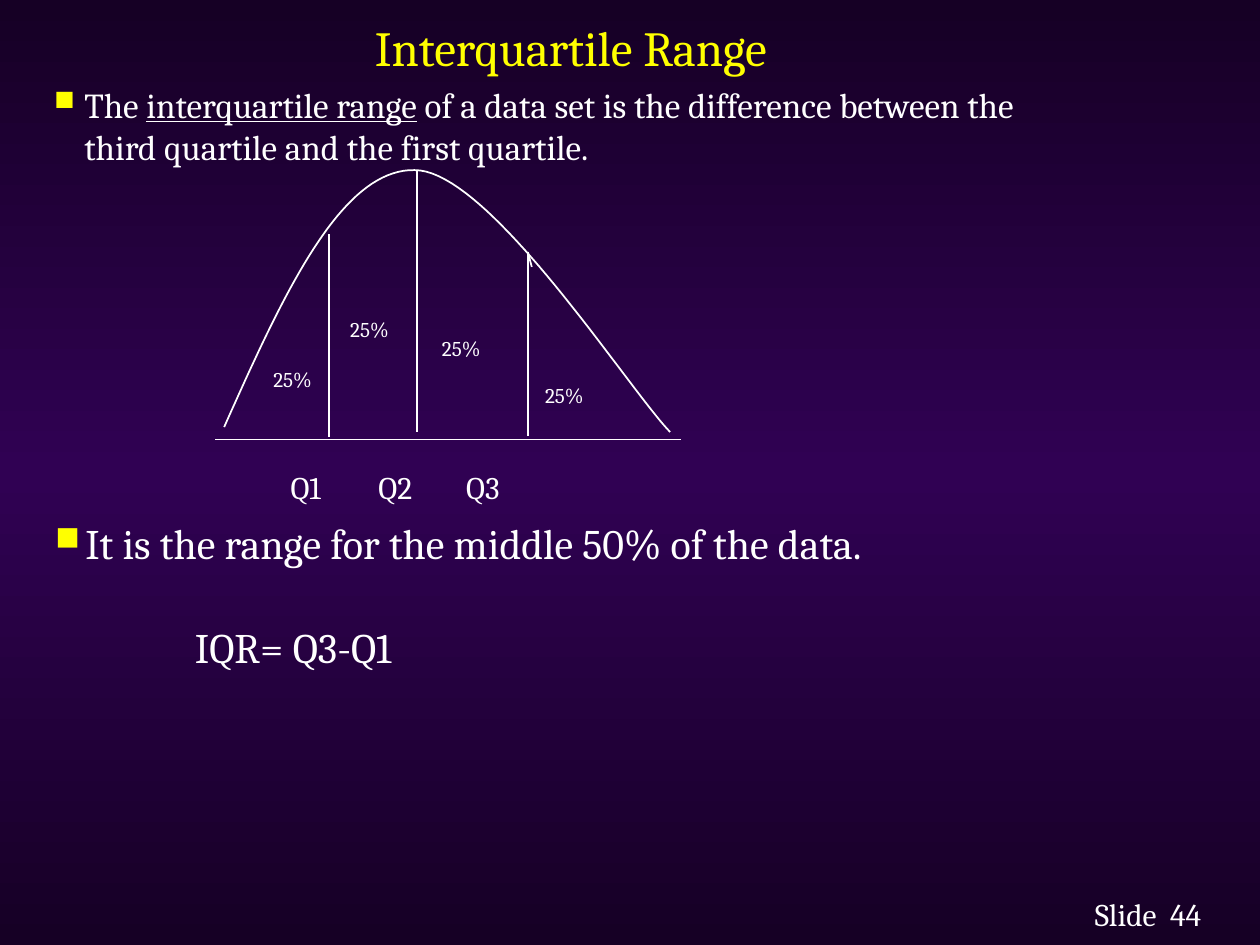
from copy import deepcopy

from lxml.etree import SubElement
from pptx import Presentation
from pptx.dml.color import RGBColor
from pptx.enum.shapes import MSO_CONNECTOR
from pptx.enum.text import MSO_ANCHOR, PP_ALIGN
from pptx.oxml.ns import qn
from pptx.util import Cm, Pt

WHITE = RGBColor(0xFF, 0xFF, 0xFF)
YELLOW = RGBColor(0xFF, 0xFF, 0x00)
EDGE_PURPLE = RGBColor(0x16, 0x00, 0x25)
MIDDLE_PURPLE = RGBColor(0x30, 0x01, 0x53)
FONT = "Cambria"

# All places are in centimetres.
TITLE = ("Interquartile Range", (0.71, 0, 21.59, 1.88), 28)
BULLETS = [
    (["The ", "interquartile range",
      " of a data set is the difference between the third quartile and the first quartile."],
     (0.84, 1.55, 20.29, 6.27), 20),
    (["It is the range for the middle 50% of the data."], (0.86, 10.31, 17.88, 1.27), 24),
]
UNDERLINED = "interquartile range"
LABELS = [
    ("IQR= Q3-Q1", (3.68, 12.4, 5.21, 1.27), 24),
    ("Slide", (21.82, 17.91, 2.31, 1.02), 18),
    ("44", (23.34, 17.91, 1.63, 1.02), 18),
]
QUARTILES = (["Q1", "Q2", "Q3"], (4.24, 9.32, 10.46, 1.02), 18)
FIRST_TAB, TAB_STEP = 1.37, 1.77

SHARE = "25%"
SHARE_SIZE = (1.4, 0.76)
SHARE_PLACES = [(5.26, 7.26), (6.81, 6.25), (8.66, 6.63), (10.74, 7.59)]

CURVE_START = (4.52, 8.61)
CURVE_PARTS = [
    [(5.69, 5.99), (6.86, 3.4), (8.36, 3.43)],
    [(9.86, 3.43), (12.65, 7.82), (13.51, 8.71)],
]
CURVE_STEPS = 40
LINES = [
    ((8.41, 3.45), (8.41, 8.71)),
    ((6.63, 4.72), (6.63, 8.81)),
    ((10.72, 5.38), (10.64, 5.08)),
    ((10.64, 5.11), (10.64, 8.79)),
    ((4.34, 8.86), (13.72, 8.86)),
]


def paint_background(page):
    fill = page.background.fill
    fill.gradient()
    stop_list = page._element.find(".//" + qn("a:gsLst"))
    stop_list.append(deepcopy(stop_list[-1]))
    colors = [EDGE_PURPLE, MIDDLE_PURPLE, EDGE_PURPLE]
    for stop, position, color in zip(fill.gradient_stops, (0, 0.5, 1), colors):
        stop.position = position
        stop.color.rgb = color
    fill.gradient_angle = 90


def add_text(page, spans, place, size, color=WHITE):
    """Add a one-paragraph text box and return its text frame."""
    box = page.shapes.add_textbox(*map(Cm, place))
    frame = box.text_frame
    frame.word_wrap = True
    for text in spans:
        span = frame.paragraphs[0].add_run()
        span.text = text
        formats = {"name": FONT, "size": Pt(size), "underline": text == UNDERLINED}
        for name, value in formats.items():
            setattr(span.font, name, value)
        span.font.color.rgb = color
    return frame


def add_bullet(para):
    properties = para._p.get_or_add_pPr()
    properties.set("marL", str(Cm(0.61)))
    properties.set("indent", str(-Cm(0.61)))
    color = SubElement(properties, qn("a:buClr"))
    SubElement(color, qn("a:srgbClr"), val=str(YELLOW))
    SubElement(properties, qn("a:buSzPct"), val="80000")
    SubElement(properties, qn("a:buChar"), char="■")


def add_tabs(para, count):
    tabs = SubElement(para._p.get_or_add_pPr(), qn("a:tabLst"))
    for index in range(count):
        position = Cm(FIRST_TAB + index * TAB_STEP)
        SubElement(tabs, qn("a:tab"), pos=str(position), algn="l")


def style_line(line):
    line.color.rgb = WHITE
    line.width = Pt(1)


def curve_points():
    """Yield points along the joined cubic curves."""
    start = CURVE_START
    for first, second, end in CURVE_PARTS:
        for step in range(1, CURVE_STEPS + 1):
            t = step / CURVE_STEPS
            u = 1 - t
            yield tuple(
                Cm(u**3 * a + 3 * u**2 * t * b + 3 * u * t**2 * c + t**3 * d)
                for a, b, c, d in zip(start, first, second, end)
            )
        start = end


def draw_distribution(page):
    builder = page.shapes.build_freeform(*map(Cm, CURVE_START))
    builder.add_line_segments(curve_points(), close=False)
    curve = builder.convert_to_shape()
    curve.shadow.inherit = False
    curve.fill.background()
    style_line(curve.line)
    for start, end in LINES:
        line = page.shapes.add_connector(MSO_CONNECTOR.STRAIGHT, *map(Cm, start + end))
        style_line(line.line)
        SubElement(line._element.spPr, qn("a:effectLst"))


def main():
    deck = Presentation()
    deck.slide_width, deck.slide_height = Cm(25.4), Cm(19.05)
    page = deck.slides.add_slide(deck.slide_layouts[6])
    paint_background(page)

    text, place, size = TITLE
    title = add_text(page, [text], place, size, YELLOW)
    title.vertical_anchor = MSO_ANCHOR.MIDDLE
    title.paragraphs[0].alignment = PP_ALIGN.CENTER

    draw_distribution(page)
    names, place, size = QUARTILES
    quartiles = add_text(page, ["\t" + name for name in names], place, size)
    add_tabs(quartiles.paragraphs[0], len(names))
    for corner in SHARE_PLACES:
        add_text(page, [SHARE], corner + SHARE_SIZE, 12)

    for spans, place, size in BULLETS:
        add_bullet(add_text(page, spans, place, size).paragraphs[0])
    for text, place, size in LABELS:
        add_text(page, [text], place, size)
    deck.save("out.pptx")


if __name__ == "__main__":
    main()
